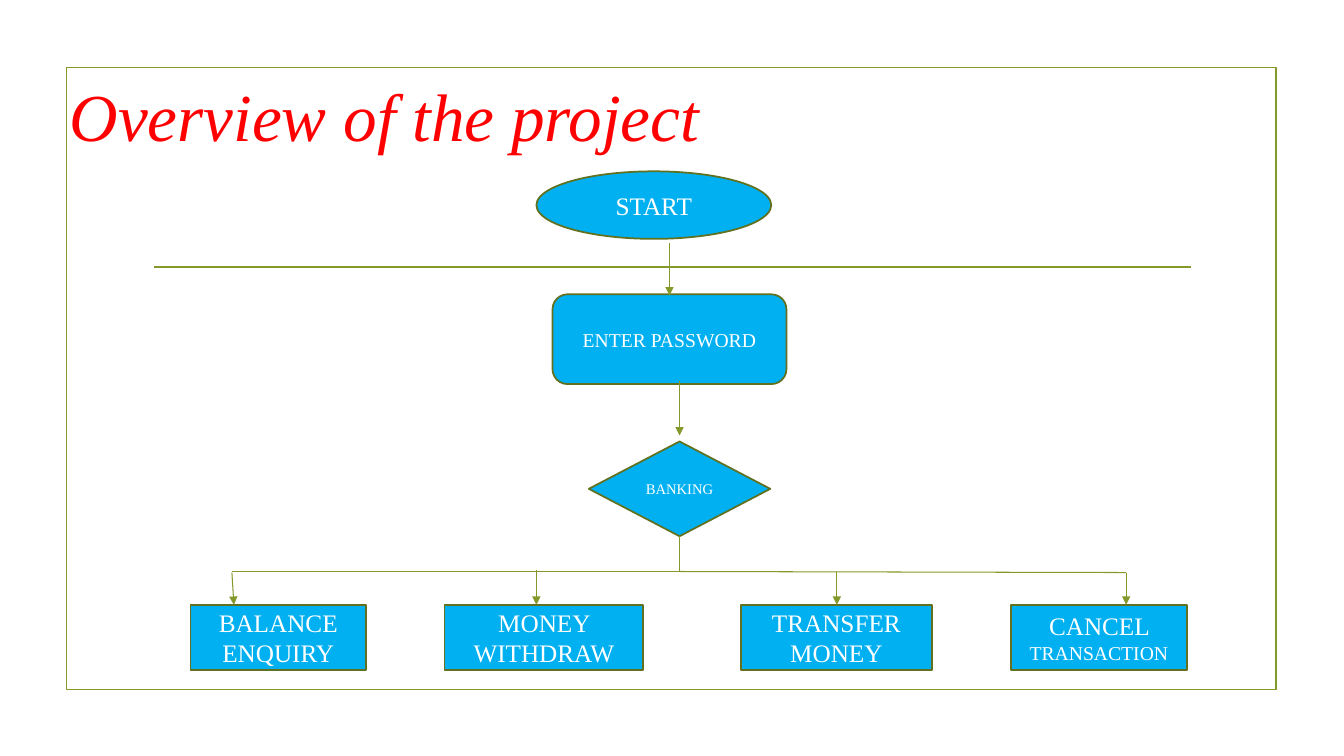
from pptx import Presentation
from pptx.dml.color import RGBColor
from pptx.enum import shapes, text
from pptx.oxml.ns import qn
from pptx.util import Inches, Pt
from lxml import etree

FONT = "Times New Roman"
GREEN, DARK_GREEN, BLUE = "83992A", "61711F", "00B0F0"
WHITE, RED = "FFFFFF", "FF0000"
SHAPE = shapes.MSO_SHAPE


def rgb(value):
    return RGBColor.from_string(value)


def add_line(x1, y1, x2, y2, width=0.75, arrow=False):
    """Draw a straight green line in inches, with an optional arrowhead at its end."""
    c = s.shapes.add_connector(shapes.MSO_CONNECTOR.STRAIGHT,
                               Inches(x1), Inches(y1), Inches(x2), Inches(y2))
    c.line.color.rgb = rgb(GREEN)
    c.line.width = Pt(width)
    if arrow:
        etree.SubElement(c.line._get_or_add_ln(), qn("a:tailEnd"), type="triangle")
    etree.SubElement(c._element.spPr, qn("a:effectLst"))


prs = Presentation()
prs.slide_width, prs.slide_height = Inches(13.33), Inches(7.5)
s = prs.slides.add_slide(prs.slide_layouts[5])

# Frame and rule
frame = s.shapes.add_shape(SHAPE.RECTANGLE, Inches(0.66), Inches(0.67), Inches(12), Inches(6.17))
frame.shadow.inherit = False
frame.fill.background()
frame.line.color.rgb = rgb(GREEN)
frame.line.width = Pt(1.25)
add_line(1.53, 2.65, 11.81, 2.65, width=1.25)

# Title
title = s.shapes.title
title.left, title.top, title.width, title.height = (Inches(v) for v in (0.28, 0.42, 7.07, 1.43))
tf = title.text_frame
tf.text = "Overview of the project"
tf.auto_size = text.MSO_AUTO_SIZE.NONE
tf.vertical_anchor = text.MSO_ANCHOR.MIDDLE
p = tf.paragraphs[0]
p.alignment = text.PP_ALIGN.CENTER
p.font.name, p.font.size, p.font.italic = FONT, Pt(48), True
p.font.color.rgb = rgb(RED)

# Flowchart steps: shape, left, top, width, height, runs of (text, size)
STEPS = [
    (SHAPE.OVAL, 5.32, 1.7, 2.33, 0.67, [("START", 18)]),
    (SHAPE.ROUNDED_RECTANGLE, 5.48, 2.92, 2.32, 0.89, [("ENTER PASSWORD", 14)]),
    (SHAPE.FLOWCHART_DECISION, 5.84, 4.38, 1.8, 0.94, [("BANKING", 10.5)]),
]
OPTIONS = [
    (1.89, 1.74, [("BALANCE ENQUIRY", 18)]),
    (4.41, 1.97, [("MONEY WITHDRAW", 18)]),
    (7.35, 1.89, [("TRANSFER MONEY", 18)]),
    (10.03, 1.74, [("CANCEL ", 18), ("TRANSACTION", 14)]),
]
STEPS += [(SHAPE.FLOWCHART_PROCESS, left, 6, width, 0.65, runs) for left, width, runs in OPTIONS]

for kind, left, top, width, height, runs in STEPS:
    sp = s.shapes.add_shape(kind, Inches(left), Inches(top), Inches(width), Inches(height))
    sp.shadow.inherit = False
    sp.fill.solid()
    sp.fill.fore_color.rgb = rgb(BLUE)
    sp.line.color.rgb = rgb(DARK_GREEN)
    sp.line.width = Pt(1.25)
    tf = sp.text_frame
    tf.word_wrap = True
    tf.vertical_anchor = text.MSO_ANCHOR.MIDDLE
    p = tf.paragraphs[0]
    p.alignment = text.PP_ALIGN.CENTER
    p.font.name = FONT
    p.font.color.rgb = rgb(WHITE)
    for words, size in runs:
        r = p.add_run()
        r.text = words
        r.font.size = Pt(size)

# Branch lines, then arrows between steps and down to the options
for ends in [(6.74, 5.32, 6.74, 5.67), (6.74, 5.67, 11.17, 5.68), (6.74, 5.67, 2.3, 5.67)]:
    add_line(*ends)
for ends in [(6.64, 2.41, 6.64, 2.93), (6.74, 3.78, 6.74, 4.32),
             (2.3, 5.68, 2.32, 6), (5.32, 5.65, 5.32, 6),
             (8.3, 5.67, 8.3, 6), (11.17, 5.68, 11.17, 6)]:
    add_line(*ends, arrow=True)

prs.save("out.pptx")
